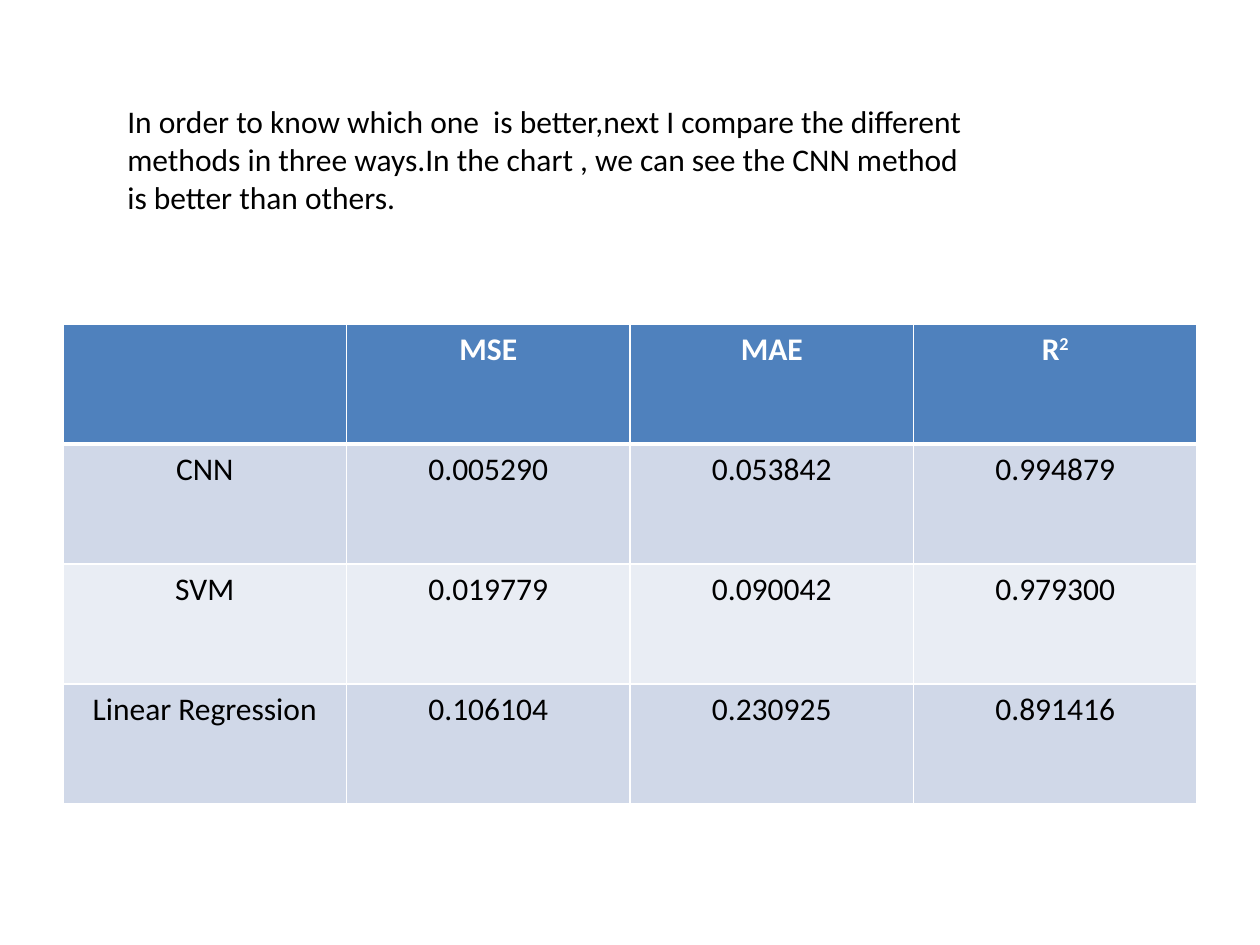
from lxml import etree
from pptx import Presentation
from pptx.dml.color import RGBColor
from pptx.enum.text import MSO_AUTO_SIZE, PP_ALIGN
from pptx.oxml.ns import qn
from pptx.util import Emu, Pt

CENTER = PP_ALIGN.CENTER
GROW = MSO_AUTO_SIZE.SHAPE_TO_FIT_TEXT
EMU_PER_PX = 914400 / 126
COLORS = {
    "header": "4F81BD",
    "odd_row": "D0D8E8",
    "even_row": "E9EDF4",
    "light": "FFFFFF",
    "dark": "000000",
}

INTRO = [
    "In order to know which one  is better,next I compare the different",
    "methods in three ways.In the chart , we can see the CNN method",
    "is better than others.",
]
# Each cell is a list of runs; a second run is a superscript
SCORES = [
    [[], ["MSE"], ["MAE"], ["R", "2"]],
    [["CNN"], ["0.005290"], ["0.053842"], ["0.994879"]],
    [["SVM"], ["0.019779"], ["0.090042"], ["0.979300"]],
    [["Linear Regression"], ["0.106104"], ["0.230925"], ["0.891416"]],
]


def px(length):
    return Emu(round(length * EMU_PER_PX))


class SlideBuilder:
    font = "Calibri"
    size = 18

    def __init__(self, slide):
        self.slide = slide

    def run(self, paragraph, text, color="dark", bold=False, superscript=False):
        run = paragraph.add_run()
        run.text = text
        run.font.name = self.font
        run.font.size = Pt(self.size)
        run.font.bold = bold
        run.font.color.rgb = RGBColor.from_string(COLORS[color])
        if superscript:
            run.font._element.set("baseline", "30000")

    def text(self, lines, left, top, width, height):
        box = self.slide.shapes.add_textbox(px(left), px(top), px(width), px(height))
        frame = box.text_frame
        frame.word_wrap = True
        frame.auto_size = GROW
        for i, line in enumerate(lines):
            paragraph = frame.add_paragraph() if i else frame.paragraphs[0]
            self.run(paragraph, line)

    def border(self, cell, side, points):
        properties = cell._tc.get_or_add_tcPr()
        line = etree.SubElement(properties, qn(f"a:ln{side}"), w=str(Pt(points)))
        fill = etree.SubElement(line, qn("a:solidFill"))
        etree.SubElement(fill, qn("a:srgbClr"), val=COLORS["light"])

    def table(self, rows, left, top, width, height):
        table = self.slide.shapes.add_table(
            len(rows), len(rows[0]), px(left), px(top), px(width), px(height)
        ).table
        for r, row in enumerate(rows):
            header = r == 0
            fill = "header" if header else "odd_row" if r % 2 else "even_row"
            # The rule under the header is thicker than the others
            widths = {"L": 1, "R": 1, "T": 3 if r == 1 else 1, "B": 3 if header else 1}
            for c, runs in enumerate(row):
                cell = table.cell(r, c)
                for side, points in widths.items():
                    self.border(cell, side, points)
                cell.fill.solid()
                cell.fill.fore_color.rgb = RGBColor.from_string(COLORS[fill])
                paragraph = cell.text_frame.paragraphs[0]
                paragraph.alignment = CENTER
                for i, text in enumerate(runs):
                    self.run(paragraph, text, "light" if header else "dark",
                             bold=header, superscript=i > 0)


def main():
    presentation = Presentation()
    presentation.slide_width = px(1260)
    presentation.slide_height = px(945)
    blank = presentation.slide_layouts[6]
    builder = SlideBuilder(presentation.slides.add_slide(blank))

    # Comparison of the methods
    builder.table(SCORES, 63, 324, 1134, 480)

    # Introduction
    builder.text(INTRO, 115, 96, 922, 127)

    presentation.save("out.pptx")


if __name__ == "__main__":
    main()
